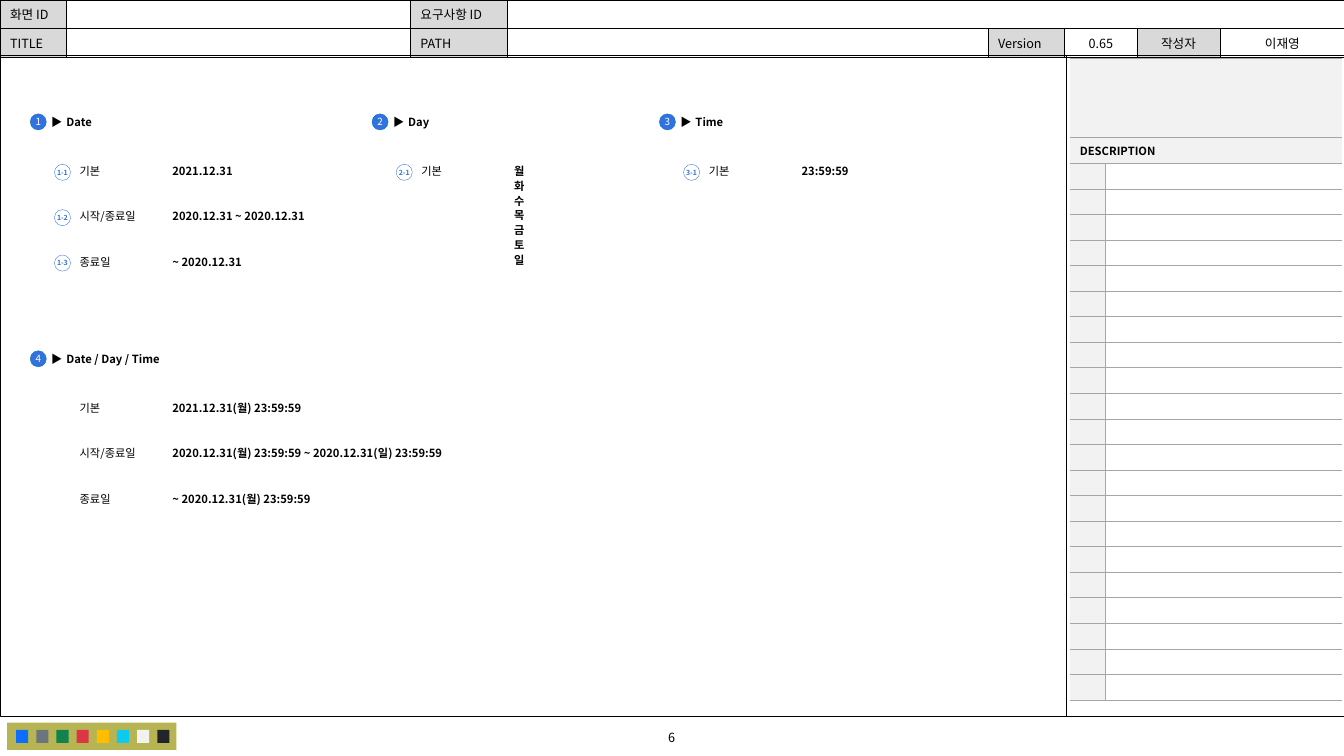
from lxml.etree import SubElement
from pptx import Presentation
from pptx.dml.color import RGBColor
from pptx.enum.shapes import MSO_CONNECTOR as Connector, MSO_SHAPE as Shape
from pptx.enum.text import MSO_ANCHOR as Anchor, MSO_AUTO_SIZE as AutoSize, PP_ALIGN as Align
from pptx.oxml.ns import qn
from pptx.util import Inches, Pt

BLACK = RGBColor(0x00, 0x00, 0x00)
WHITE = RGBColor(0xFF, 0xFF, 0xFF)
BLUE = RGBColor(0x32, 0x72, 0xDE)
DARK_BLUE = RGBColor(0x00, 0x70, 0xC0)
LABEL_GRAY = RGBColor(0xD9, 0xD9, 0xD9)
PALE_GRAY = RGBColor(0xF2, 0xF2, 0xF2)
RULE_GRAY = RGBColor(0xA6, 0xA6, 0xA6)
OLIVE = RGBColor(0xB7, 0xB5, 0x53)
SWATCHES = [
    RGBColor(0x0D, 0x6E, 0xFD), RGBColor(0x6C, 0x75, 0x7D),
    RGBColor(0x10, 0x83, 0x4E), RGBColor(0xDC, 0x35, 0x45),
    RGBColor(0xFF, 0xBE, 0x00), RGBColor(0x0D, 0xCA, 0xF0),
    RGBColor(0xF2, 0xF2, 0xF2), RGBColor(0x21, 0x25, 0x29),
]

HEADER_COLUMNS = [0.66, 3.41, 0.96, 4.77, 0.76, 0.72, 0.82, 1.24]
HEADER_ROWS = [
    ["화면 ID", "", "요구사항 ID", "", "", "", "", ""],
    ["TITLE", "", "PATH", "", "Version", "0.65", "작성자", "이재영"],
]
HEADER_LABELS = {"화면 ID", "요구사항 ID", "TITLE", "PATH", "Version", "작성자"}
DESCRIPTION_LINES = 21
ROW_STEP = 0.45

SECTIONS = [
    (0.3, 1.1, "1", "Date", 0.76, [
        ("1-1", "기본", ["2021.12.31"], 1.4),
        ("1-2", "시작/종료일", ["2020.12.31 ~ 2020.12.31"], 1.35),
        ("1-3", "종료일", ["~ 2020.12.31"], 0.76),
    ]),
    (3.69, 1.1, "2", "Day", 0.76, [("2-1", "기본", list("월화수목금토일"), 0.43)]),
    (6.54, 1.1, "3", "Time", 0.76, [("3-1", "기본", ["23:59:59"], 0.54)]),
    (0.3, 3.45, "4", "Date / Day / Time", 1.36, [
        ("", "기본", ["2021.12.31(월) 23:59:59"], 1.4),
        ("", "시작/종료일", ["2020.12.31(월) 23:59:59 ~ 2020.12.31(일) 23:59:59"], 2.99),
        ("", "종료일", ["~ 2020.12.31(월) 23:59:59"], 1.65),
    ]),
]


class Sheet:
    font = "Noto Sans CJK KR"

    def __init__(self, page):
        self.page = page

    def add_span(self, para, text, size, color=BLACK, bold=False, align=Align.LEFT):
        para.alignment = align
        span = para.add_run()
        span.text = text
        span.font.name = self.font
        span.font.size = Pt(size)
        span.font.bold = bold
        span.font.color.rgb = color
        SubElement(span.font._element, qn("a:ea"), typeface=self.font)

    def text(self, x, y, width, height, lines, size=8, bold=False,
             align=Align.LEFT, inset=0, tab=None):
        box = self.page.shapes.add_textbox(
            Inches(x), Inches(y), Inches(width), Inches(height))
        frame = box.text_frame
        frame.word_wrap = True
        frame.auto_size = AutoSize.SHAPE_TO_FIT_TEXT
        frame.margin_left = frame.margin_right = Inches(inset)
        frame.margin_top = frame.margin_bottom = Inches(inset / 2)
        for index, line in enumerate(lines):
            para = frame.add_paragraph() if index else frame.paragraphs[0]
            if index:
                para.space_before = Pt(1)
            if tab:
                stops = SubElement(para._p.get_or_add_pPr(), qn("a:tabLst"))
                SubElement(stops, qn("a:tab"), pos=str(Inches(tab)), algn="l")
            self.add_span(para, line, size, bold=bold, align=align)

    def shape(self, kind, x, y, width, height, fill=None, line=None):
        shape = self.page.shapes.add_shape(
            kind, Inches(x), Inches(y), Inches(width), Inches(height))
        shape.shadow.inherit = False
        if fill is None:
            shape.fill.background()
        else:
            shape.fill.solid()
            shape.fill.fore_color.rgb = fill
        if line is None:
            shape.line.fill.background()
        else:
            shape.line.color.rgb = line
            shape.line.width = Pt(0.25)
        return shape

    def badge(self, x, y, text, size, fill, line, color, bold=False):
        badge = self.shape(Shape.OVAL, x, y, 0.16, 0.16, fill, line)
        frame = badge.text_frame
        frame.word_wrap = False
        frame.margin_left = frame.margin_right = 0
        frame.vertical_anchor = Anchor.MIDDLE
        self.add_span(frame.paragraphs[0], text, size, color, bold, Align.CENTER)

    def line(self, x1, y1, x2, y2):
        line = self.page.shapes.add_connector(
            Connector.STRAIGHT, Inches(x1), Inches(y1), Inches(x2), Inches(y2))
        line.line.color.rgb = BLACK
        line.line.width = Pt(0.5)
        SubElement(line._element.spPr, qn("a:effectLst"))

    def table(self, x, y, columns, rows):
        table = self.page.shapes.add_table(
            len(rows), len(columns), Inches(x), Inches(y),
            Inches(sum(columns)), Inches(sum(rows))).table
        table.first_row = table.horz_banding = False
        for column, width in zip(table.columns, columns):
            column.width = Inches(width)
        for row, height in zip(table.rows, rows):
            row.height = Inches(height)
        return table

    def cell(self, cell, text, size, fill, border, sides="LRTB",
             bold=False, align=Align.LEFT):
        properties = cell._tc.get_or_add_tcPr()
        for side in "LRTB":
            edge = SubElement(properties, qn(f"a:ln{side}"), w=str(Pt(0.5)))
            if side in sides:
                paint = SubElement(edge, qn("a:solidFill"))
                SubElement(paint, qn("a:srgbClr"), val=str(border))
            else:
                SubElement(edge, qn("a:noFill"))
        if fill is None:
            cell.fill.background()
        else:
            cell.fill.solid()
            cell.fill.fore_color.rgb = fill
        cell.vertical_anchor = Anchor.MIDDLE
        para = cell.text_frame.paragraphs[0]
        if text:
            self.add_span(para, text, size, bold=bold, align=align)
        else:
            SubElement(para._p, qn("a:endParaRPr"), sz=str(size * 100))

    def header(self):
        table = self.table(0, 0, HEADER_COLUMNS, [0.28, 0.28])
        for row, texts in enumerate(HEADER_ROWS):
            for column, text in enumerate(texts):
                fill = LABEL_GRAY if text in HEADER_LABELS else WHITE
                align = Align.CENTER if column > 4 else Align.LEFT
                self.cell(table.cell(row, column), text, 9, fill, BLACK, align=align)
        table.cell(0, 3).merge(table.cell(0, 7))

    def description(self):
        heights = [0.78, 0.26] + [5.33 / DESCRIPTION_LINES] * DESCRIPTION_LINES
        table = self.table(10.61, 0.58, [0.35, 2.35], heights)
        for row in range(len(heights)):
            heading = row < 2
            text = "DESCRIPTION" if row == 1 else ""
            self.cell(table.cell(row, 0), text, 8, PALE_GRAY, RULE_GRAY,
                      "TB" if heading else "RTB", bold=True)
            self.cell(table.cell(row, 1), "", 8, PALE_GRAY if heading else None,
                      RULE_GRAY, "TB" if heading else "LTB")
            if heading:
                table.cell(row, 0).merge(table.cell(row, 1))

    def palette(self):
        self.shape(Shape.RECTANGLE, 0.07, 7.17, 1.68, 0.27, OLIVE)
        for index, color in enumerate(SWATCHES):
            self.shape(Shape.RECTANGLE, 0.16 + 0.2 * index, 7.24, 0.12, 0.13, color)

    def section(self, x, y, number, title, width, rows):
        self.text(x + 0.11, y, width, 0.24, [f"▶\t{title}"],
                  bold=True, inset=0.1, tab=0.15)
        self.badge(x, y + 0.03, number, 7, BLUE, DARK_BLUE, WHITE)
        for index, (code, label, values, value_width) in enumerate(rows):
            top = y + 0.53 + ROW_STEP * index
            self.text(x + 0.49, top, 0.76, 0.13, [label])
            self.text(x + 1.41, top, value_width, 0.17 * len(values), values, bold=True)
            if code:
                self.badge(x + 0.24, top, code, 5, WHITE, BLUE, BLUE, True)


def main():
    deck = Presentation()
    deck.slide_width, deck.slide_height = Inches(13.33), Inches(7.5)
    sheet = Sheet(deck.slides.add_slide(deck.slide_layouts[6]))
    sheet.header()
    sheet.shape(Shape.RECTANGLE, 0, 0.55, 13.33, 6.56, line=BLACK)
    sheet.text(5.37, 7.19, 2.58, 0.25, ["6"], size=9, align=Align.CENTER, inset=0.1)
    sheet.line(10.58, 0.56, 10.58, 7.11)
    sheet.palette()
    sheet.description()
    for section in SECTIONS:
        sheet.section(*section)
    deck.save("out.pptx")


if __name__ == "__main__":
    main()
